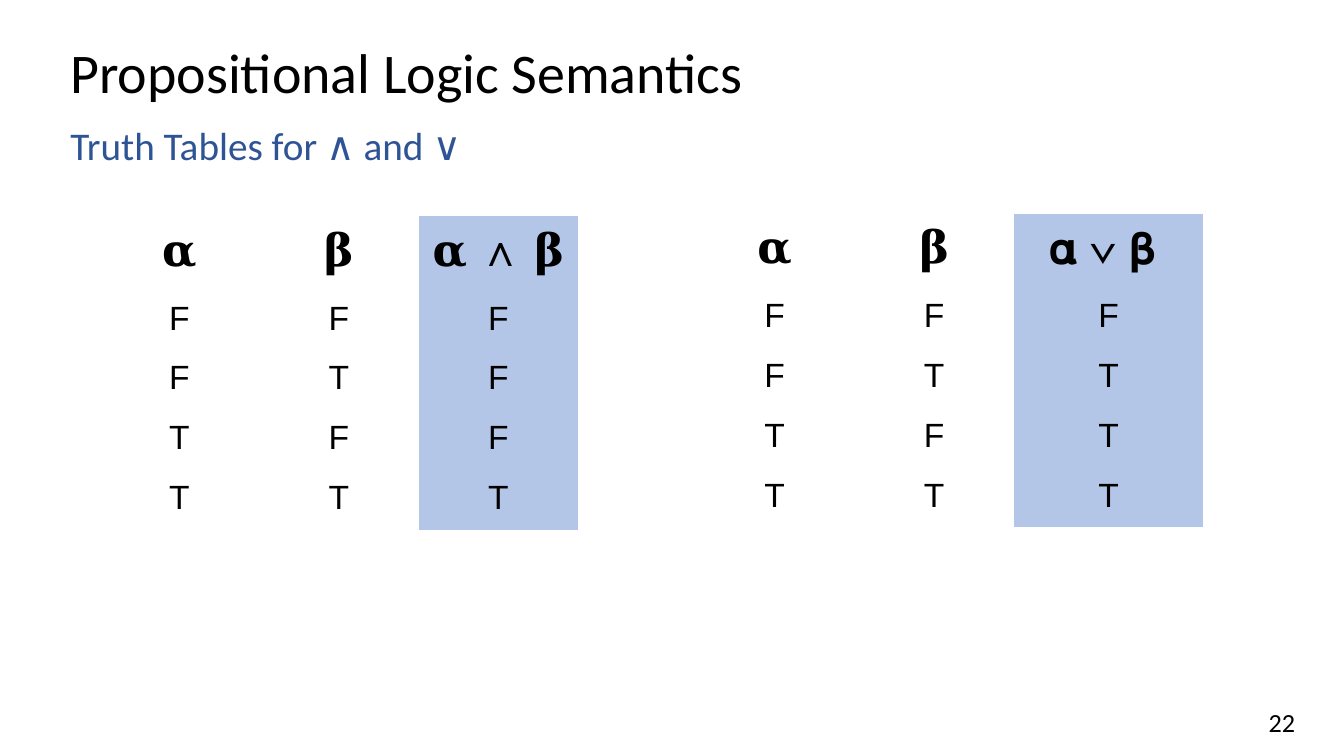
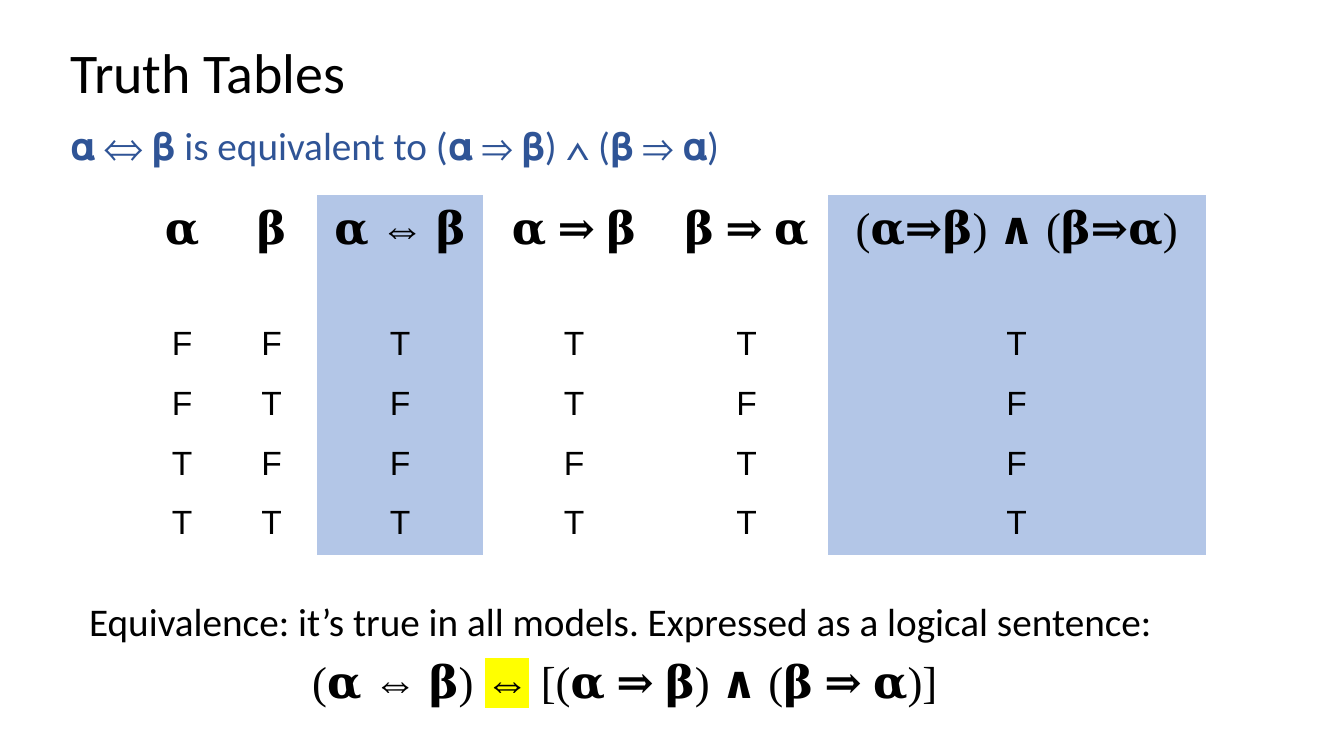
from lxml.etree import SubElement
from pptx import Presentation
from pptx.dml.color import RGBColor
from pptx.enum.text import MSO_ANCHOR as ANCHOR, PP_ALIGN as ALIGN
from pptx.oxml.ns import qn
from pptx.util import Pt

BLACK = RGBColor(0x00, 0x00, 0x00)
NAVY = RGBColor(0x2F, 0x54, 0x96)
SHADE = RGBColor(0xB3, 0xC6, 0xE7)
MARKER = "FFFF00"
SANS, SERIF, ARIAL = "Calibri", "Times New Roman", "Arial"
PLAIN_STYLE = "{2D5ABB26-0587-4C30-8999-92F81FD0307C}"
INSET = 5.25
ROW_H = 30.9

ALPHA = ([("𝛂", SERIF)], "FFTT", False)
BETA = ([("𝛃", SERIF)], "FTFT", False)

SLIDES = [
    {
        "title": "Propositional Logic Semantics",
        "subtitle": "Truth Tables for ∧ and ∨",
        "space_before": 8,
        "number": "22",
        "tables": [
            {
                "at": (53.3, 115.9), "header_h": 37.5,
                "widths": [85.5, 85.5, 85.5],
                "columns": [
                    ALPHA, BETA,
                    ([("𝛂 ", SERIF), ("∧", ARIAL), (" 𝛃", SERIF)], "FFFT", True),
                ],
            },
            {
                "at": (372.2, 114.5), "header_h": 37.5,
                "widths": [85.5, 85.5, 101.5],
                "columns": [ALPHA, BETA, ([("𝛂 ∨ 𝛃 ", ARIAL)], "FTTT", True)],
            },
        ],
    },
    {
        "title": "Truth Tables",
        "subtitle": "𝛂 ⇔ 𝛃 is equivalent to (𝛂 ⇒ 𝛃) ∧ (𝛃 ⇒ 𝛂)",
        "space_before": 0,
        "tables": [
            {
                "at": (74.2, 104.4), "header_h": 64.3,
                "widths": [46.8, 49, 88.6, 97.9, 87.1, 202.3],
                "columns": [
                    ALPHA, BETA,
                    ([("𝛂 ⇔ 𝛃", SERIF)], "TFFT", True),
                    ([("𝛂 ⇒ 𝛃", SERIF)], "TTFT", False),
                    ([("𝛃 ⇒ 𝛂", SERIF)], "TFTT", False),
                    ([("(𝛂⇒𝛃) ∧ (𝛃⇒𝛂)", SERIF)], "TFFT", True),
                ],
            },
        ],
        "remark": "Equivalence: it’s true in all models. Expressed as a logical sentence:",
        "sentence": [
            ("(𝛂 ⇔ 𝛃) ", False),
            ("⇔", True),
            (" [(𝛂 ⇒ 𝛃) ∧ (𝛃 ⇒ 𝛂)]", False),
        ],
    },
]


def add_run(p, text, size, font, color=BLACK):
    r = p.add_run()
    r.text = text
    r.font.size = Pt(size)
    r.font.name = font
    r.font.color.rgb = color
    return r


def highlight(r):
    rpr = r.font._element
    mark = SubElement(rpr, qn("a:highlight"))
    SubElement(mark, qn("a:srgbClr")).set("val", MARKER)
    rpr.find(qn("a:solidFill")).addnext(mark)


def add_box(s, left, top, width, height, anchor=ANCHOR.TOP, pad=2.6):
    sp = s.shapes.add_textbox(Pt(left), Pt(top), Pt(width), Pt(height))
    tf = sp.text_frame
    tf.word_wrap = True
    tf.vertical_anchor = anchor
    tf.margin_left = tf.margin_right = Pt(INSET)
    tf.margin_top = tf.margin_bottom = Pt(pad)
    return tf


def add_heading(s, slide):
    p = add_box(s, 32.4, 21.6, 620.6, 37.2, ANCHOR.MIDDLE).paragraphs[0]
    p.line_spacing = 0.9
    add_run(p, slide["title"], 30, SANS)
    p = add_box(s, 32.4, 65.5, 620.6, 120.2).paragraphs[0]
    p.line_spacing = 0.9
    p.space_before = Pt(slide["space_before"])
    add_run(p, slide["subtitle"], 21, SANS, NAVY)


def add_number(s, number):
    p = add_box(s, 537.1, 375.8, 162, 21.6, ANCHOR.MIDDLE).paragraphs[0]
    p.alignment = ALIGN.RIGHT
    add_run(p, number, 14, SANS)


def add_truth_table(s, at, header_h, widths, columns):
    heights = [header_h] + [ROW_H] * len(columns[0][1])
    frame = s.shapes.add_table(len(heights), len(widths), Pt(at[0]), Pt(at[1]),
                               Pt(sum(widths)), Pt(sum(heights)))
    table = frame.table
    table.first_row = table.horz_banding = False
    frame._element.find(".//" + qn("a:tableStyleId")).text = PLAIN_STYLE
    for row, height in zip(table.rows, heights):
        row.height = Pt(height)
    for c, (width, (header, values, shaded)) in enumerate(zip(widths, columns)):
        table.columns[c].width = Pt(width)
        cells = [[(text, 24, font) for text, font in header]]
        cells += [[(value, 18, ARIAL)] for value in values]
        for r, runs in enumerate(cells):
            cell = table.cell(r, c)
            cell.margin_left = cell.margin_right = Pt(INSET)
            cell.margin_top = cell.margin_bottom = Pt(INSET)
            if shaded:
                cell.fill.solid()
                cell.fill.fore_color.rgb = SHADE
            else:
                cell.fill.background()
            p = cell.text_frame.paragraphs[0]
            p.alignment = ALIGN.CENTER
            for run in runs:
                add_run(p, *run)


def add_conclusion(s, remark, sentence):
    tf = add_box(s, 42.5, 314.6, 584.6, 85.7, pad=INSET)
    add_run(tf.paragraphs[0], remark, 21, SANS)
    p = tf.add_paragraph()
    p.alignment = ALIGN.CENTER
    p.space_before = Pt(5)
    for text, marked in sentence:
        r = add_run(p, text, 24, SERIF)
        if marked:
            highlight(r)


def main():
    prs = Presentation()
    prs.slide_width, prs.slide_height = Pt(720), Pt(405)
    for slide in SLIDES:
        s = prs.slides.add_slide(prs.slide_layouts[6])
        add_heading(s, slide)
        for table in slide["tables"]:
            add_truth_table(s, **table)
        if "number" in slide:
            add_number(s, slide["number"])
        if "remark" in slide:
            add_conclusion(s, slide["remark"], slide["sentence"])
    prs.save("out.pptx")


if __name__ == "__main__":
    main()
